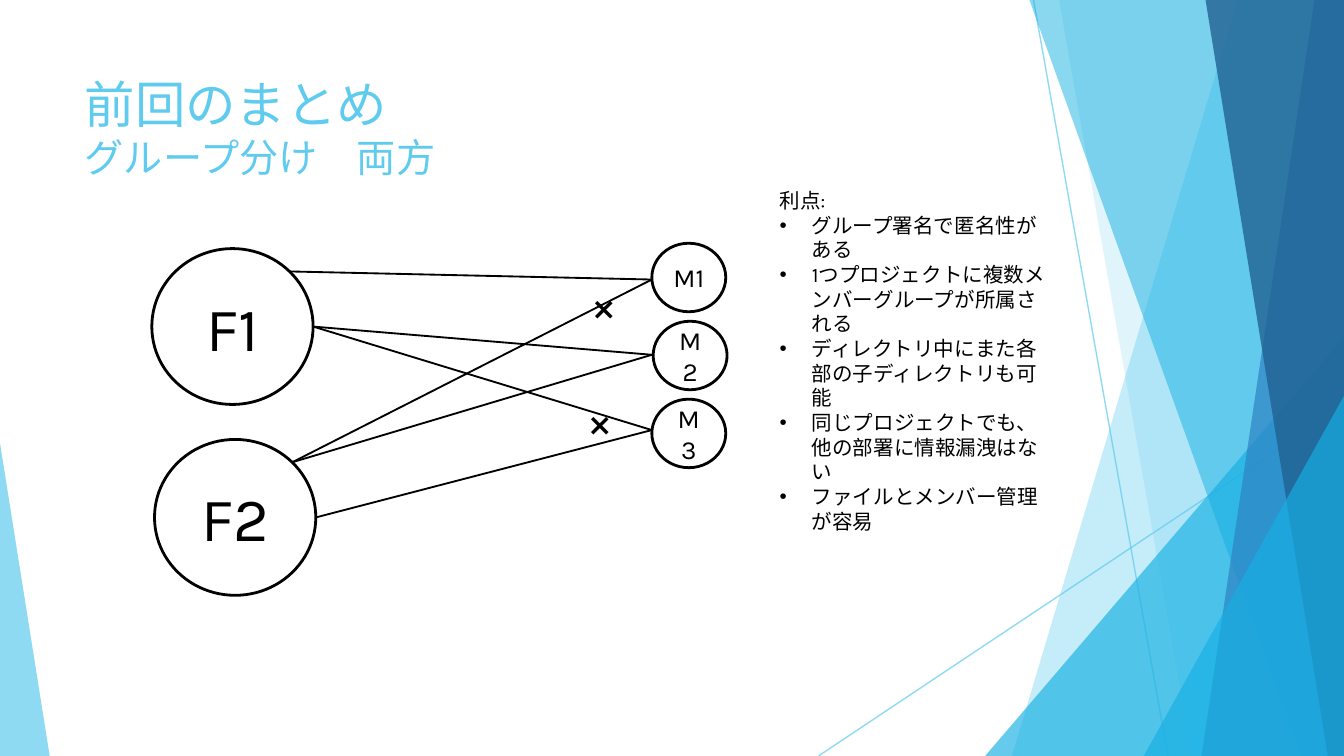
import math
import pptx
import pptx.dml.color
import pptx.enum.shapes
import pptx.enum.text
import pptx.oxml.ns
import pptx.util
import lxml.etree

# Grid: 100 columns by 56.25 rows of equal size; boxes are (column, row, width, height)
CELL = pptx.util.Inches(0.1)
COLS, ROWS = 100, 56.25
FONT = "Karla"
BLACK, SKY, CYAN, BLUE, NAVY = "000000", "5FCBEF", "16B0E3", "2E83C3", "226292"
SHAPES = pptx.enum.shapes.MSO_SHAPE
MARGINS = {"margin_left": 0.07, "margin_right": 0.07, "margin_top": 0.04, "margin_bottom": 0.04}


def cells(*values):
    return [round(v * CELL) for v in values]


def rgb(value):
    return pptx.dml.color.RGBColor.from_string(value)


def add_xml(parent, tag, **attrs):
    return lxml.etree.SubElement(parent, pptx.oxml.ns.qn(tag), **attrs)


def set_color(fill, color, opacity, parent):
    """Solid colour; opacity in percent goes on the colour found under parent."""
    fill.solid()
    fill.fore_color.rgb = rgb(color)
    if opacity < 100:
        node = next(parent.iter(pptx.oxml.ns.qn("a:srgbClr")))
        add_xml(node, "a:alpha", val=str(opacity * 1000))


def add_line(s, start, end, color=BLACK, width=1, opacity=100):
    line = s.shapes.add_connector(pptx.enum.shapes.MSO_CONNECTOR.STRAIGHT, *cells(*start, *end))
    line.line.width = pptx.util.Pt(width)
    set_color(line.line.fill, color, opacity, line.line._get_or_add_ln())
    add_xml(line._element.spPr, "a:effectLst")


def paint(sp, color, opacity):
    sp.shadow.inherit = False
    sp.line.fill.background()
    set_color(sp.fill, color, opacity, sp._element.spPr)


def format_frame(sp, anchor):
    tf = sp.text_frame
    formats = {"word_wrap": True, "vertical_anchor": anchor}
    formats.update({k: pptx.util.Inches(v) for k, v in MARGINS.items()})
    for name, value in formats.items():
        setattr(tf, name, value)
    return tf


def write(p, text, size, color=BLACK):
    r = p.add_run()
    r.text = text
    r.font.color.rgb = rgb(color)
    for name, value in {"size": pptx.util.Pt(size), "name": FONT}.items():
        setattr(r.font, name, value)
    add_xml(r._r.get_or_add_rPr(), "a:ea", typeface=FONT)


def add_text(s, box, lines):
    """Text box with one paragraph for each (text, size, colour)."""
    sp = s.shapes.add_textbox(*cells(*box))
    tf = format_frame(sp, pptx.enum.text.MSO_ANCHOR.TOP)
    for i, line in enumerate(lines):
        write(tf.add_paragraph() if i else tf.paragraphs[0], *line)
    return tf


def add_facets(s, box):
    """Translucent facets along the right edge and a wedge at the lower left."""
    left, top, width, height = box
    right, bottom = left + width, top + height
    add_line(s, (left + 76.9, top), (left + 86.9, bottom), SKY, 0.75, 70)
    add_line(s, (right, top + 30.2), (left + 60.9, bottom), SKY, 0.75, 70)

    def slab(top_x, bottom_x, color, opacity):
        corners = [(top_x, top), (right, top), (right, bottom), (bottom_x, bottom)]
        points = [cells(*c) for c in corners]
        builder = s.shapes.build_freeform(*points[0], scale=1.0)
        builder.add_line_segments(points[1:], close=True)
        paint(builder.convert_to_shape(), color, opacity)

    def wedge(x, wide, high, apex, color, opacity):
        sp = s.shapes.add_shape(SHAPES.ISOSCELES_TRIANGLE, *cells(x, bottom - high, wide, high))
        sp.adjustments[0] = apex
        paint(sp, color, opacity)

    slab(left + 92.1, left + 75.3, SKY, 36)
    slab(left + 78.8, left + 88.7, SKY, 20)
    wedge(right - 26.7, 26.7, 31.2, 1, CYAN, 66)
    slab(left + 76.6, left + 96.8, CYAN, 50)
    slab(left + 97.8, left + 89.4, BLUE, 70)
    slab(left + 89.7, left + 98.8, NAVY, 80)
    wedge(right - 14.9, 14.9, 26.8, 1, CYAN, 66)
    wedge(left, 3.7, 23.3, 0, SKY, 70)


def add_node(s, box, label, size):
    sp = s.shapes.add_shape(SHAPES.OVAL, *cells(*box))
    sp.shadow.inherit = False
    sp.fill.background()
    sp.line.color.rgb = rgb(BLACK)
    sp.line.width = pptx.util.Pt(1.5)
    tf = format_frame(sp, pptx.enum.text.MSO_ANCHOR.MIDDLE)
    tf.paragraphs[0].alignment = pptx.enum.text.PP_ALIGN.CENTER
    write(tf.paragraphs[0], label, size)


def add_diagram(s, box):
    """Files F1 and F2 on the left, members M1 to M3 on the right."""
    left, top, width, height = box
    file_w, file_h, member_w, member_h = 12, 11.6, 5.5, 5.1
    member_x = left + width - member_w

    # Files, with a port at the right and one at the upper right
    side, corner = [], []
    for i in range(2):
        x, y = left + 0.2 * i, top + 0.4 + 14.2 * i
        add_node(s, (x, y, file_w, file_h), f"F{i + 1}", 33)
        cx, cy = x + file_w / 2, y + file_h / 2
        side.append((cx + file_w / 2, cy))
        corner.append((cx + file_w / 2 * math.sqrt(0.5), cy - file_h / 2 * math.sqrt(0.5)))

    # Links
    ports = [(member_x, top + 2.7 + 5.6 * i) for i in range(3)]
    links = [(corner[0], 0), (side[0], 1), (side[1], 2),
             (corner[1], 1), (corner[1], 0), (side[0], 2)]
    for start, member in links:
        add_line(s, start, ports[member])

    # Blocked links
    for dx, dy in [(32.1, 2.1), (31.8, 10.7)]:
        add_text(s, (left + dx, top + dy, 4.3, 4.8), [("×", 24)])

    # Members
    for i, shift in enumerate([0, 0.1, 0]):
        add_node(s, (member_x + shift, top + 5.8 * i, member_w, member_h), f"M{i + 1}", 14)


def add_benefits(s, box, heading, items):
    tf = add_text(s, box, [(text, 11) for text in [heading] + items])
    indent = cells(2.4)[0]
    for p in tf.paragraphs[1:]:
        pPr = p._p.get_or_add_pPr()
        for name, value in {"marL": indent, "indent": -indent}.items():
            pPr.set(name, str(value))
        add_xml(add_xml(pPr, "a:buClr"), "a:srgbClr", val=BLACK)
        add_xml(pPr, "a:buFont", typeface="Arial")
        add_xml(pPr, "a:buChar", char="•")


def main():
    prs = pptx.Presentation()
    prs.slide_width, prs.slide_height = cells(COLS, ROWS)
    s = prs.slides.add_slide(prs.slide_layouts[6])
    add_facets(s, (0, 0, COLS, ROWS))
    add_text(s, (5.6, 5, 70.5, 10.8),
             [("前回のまとめ", 27, SKY), ("グループ分け　両方", 21, SKY)])
    add_diagram(s, (11.3, 18.1, 42.7, 26.2))
    add_benefits(s, (57.3, 13.6, 21.9, 22), "利点:", [
        "グループ署名で匿名性がある",
        "1つプロジェクトに複数メンバーグループが所属される",
        "ディレクトリ中にまた各部の子ディレクトリも可能",
        "同じプロジェクトでも、他の部署に情報漏洩はない",
        "ファイルとメンバー管理が容易",
    ])
    prs.save("out.pptx")


if __name__ == "__main__":
    main()
